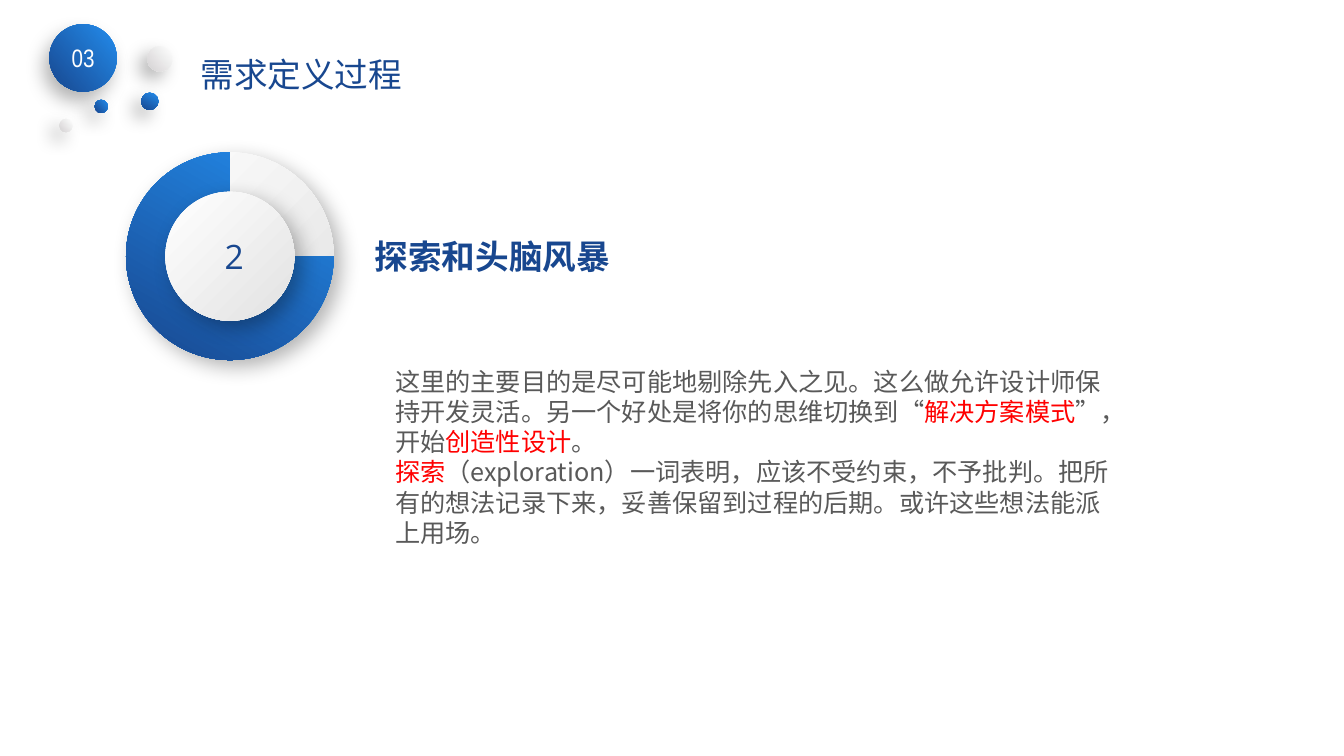
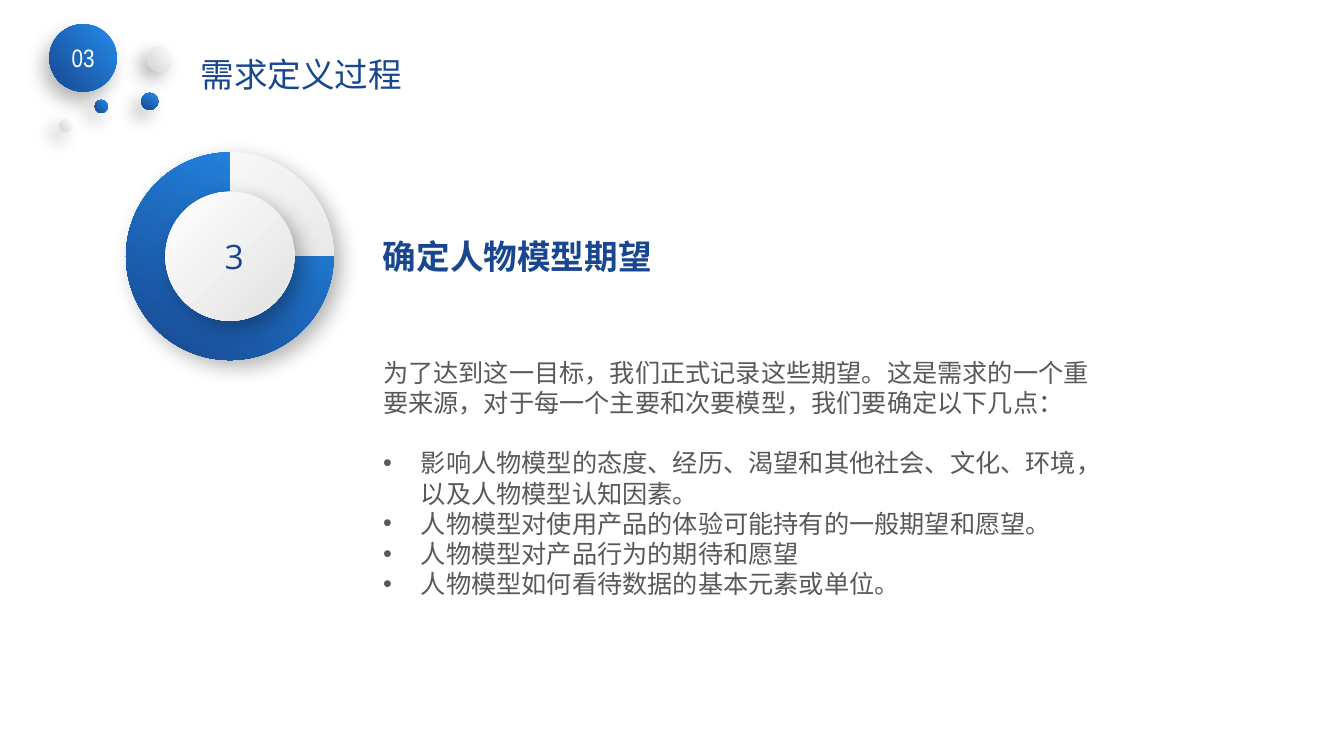
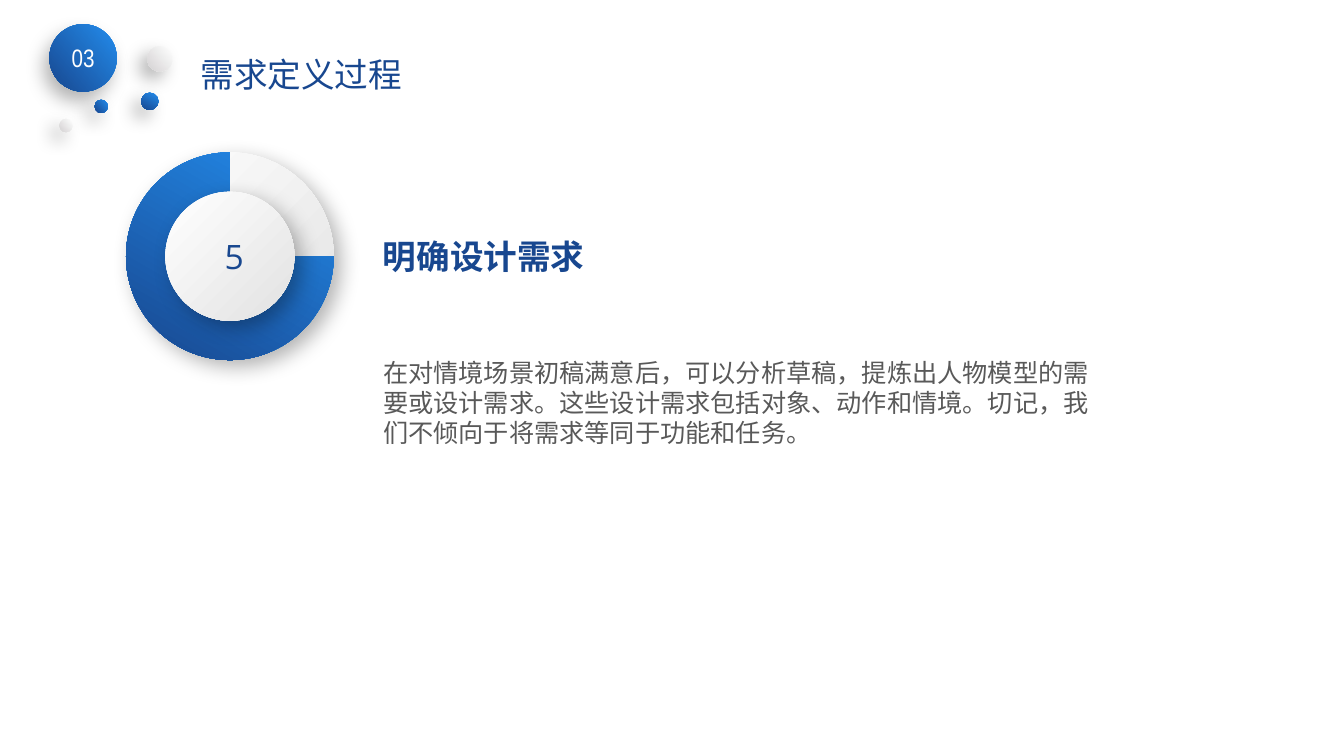
import pptx
import pptx.util
import pptx.dml.color
import pptx.enum.shapes
import pptx.enum.text
import pptx.oxml
import pptx.oxml.ns
import lxml.etree

Pt = pptx.util.Pt
RGBColor = pptx.dml.color.RGBColor
MSO_SHAPE = pptx.enum.shapes.MSO_SHAPE
PP_ALIGN = pptx.enum.text.PP_ALIGN
MSO_ANCHOR = pptx.enum.text.MSO_ANCHOR
qn = pptx.oxml.ns.qn

# Shared colours, fonts and text formats
NAVY = RGBColor(0x18, 0x47, 0x8F)
BRIGHT_BLUE = RGBColor(0x23, 0x8D, 0xED)
WHITE = RGBColor(0xFF, 0xFF, 0xFF)
SILVER = RGBColor(0xD4, 0xD2, 0xD3)
PALE_GRAY = RGBColor(0xE2, 0xE2, 0xE2)
TEXT_GRAY = RGBColor(0x59, 0x59, 0x59)
RED = RGBColor(0xFF, 0x00, 0x00)
BLUES = (BRIGHT_BLUE, NAVY)
SILVERS = (WHITE, SILVER)
GRAYS = (WHITE, PALE_GRAY)

CHINESE_FONT = "Noto Sans CJK SC"
TITLE = {"name": "Open Sans", "size": Pt(24), "color": NAVY, "bold": False}
HEADING = {"name": CHINESE_FONT, "size": Pt(24), "color": NAVY, "bold": True}
BODY = {"name": CHINESE_FONT, "size": Pt(18), "color": TEXT_GRAY}
BADGE = {"name": "Arial Narrow", "size": Pt(18), "color": WHITE}
ONE_LINE = {"margin_top": 0, "margin_bottom": 0, "word_wrap": True,
            "vertical_anchor": MSO_ANCHOR.MIDDLE}
BODY_FRAME = {"word_wrap": True, "vertical_anchor": MSO_ANCHOR.TOP,
              "auto_size": pptx.enum.text.MSO_AUTO_SIZE.NONE}
BODY_SPACING = {"line_spacing": Pt(21.6), "space_before": Pt(0),
                "alignment": PP_ALIGN.LEFT}
BULLET_INDENT = Pt(27)

SLIDES = [
    {"number": "2", "heading": "探索和头脑风暴", "heading_left": 260.6,
     "body_box": (275, 257.8, 534, 160), "bullets": [],
     "paragraphs": [
         [("这里的主要目的是尽可能地剔除先入之见。这么做允许设计师保持开发灵活。"
           "另一个好处是将你的思维切换到“", TEXT_GRAY),
          ("解决方案模式", RED), ("”，开始", TEXT_GRAY),
          ("创造性设计", RED), ("。", TEXT_GRAY)],
         [("探索", RED),
          ("（exploration）一词表明，应该不受约束，不予批判。把所有的想法记录下来，"
           "妥善保留到过程的后期。或许这些想法能派上用场。", TEXT_GRAY)]]},
    {"number": "3", "heading": "确定人物模型期望", "heading_left": 266.4,
     "body_box": (266.4, 251.3, 534, 181.4),
     "paragraphs": [
         [("为了达到这一目标，我们正式记录这些期望。这是需求的一个重要来源，"
           "对于每一个主要和次要模型，我们要确定以下几点：", TEXT_GRAY)]],
     "bullets": [
         "影响人物模型的态度、经历、渴望和其他社会、文化、环境，以及人物模型认知因素。",
         "人物模型对使用产品的体验可能持有的一般期望和愿望。",
         "人物模型对产品行为的期待和愿望",
         "人物模型如何看待数据的基本元素或单位。"]},
    {"number": "5", "heading": "明确设计需求", "heading_left": 266.4,
     "body_box": (266.4, 251.3, 534, 72.7), "bullets": [],
     "paragraphs": [
         [("在对情境场景初稿满意后，可以分析草稿，提炼出人物模型的需要或设计需求。"
           "这些设计需求包括对象、动作和情境。切记，我们不倾向于将需求等同于功能和任务。",
           TEXT_GRAY)]]},
]


def write(paragraph, text, formats):
    run = paragraph.add_run()
    run.text = text
    for name, value in formats.items():
        if name == "color":
            run.font.color.rgb = value
        else:
            setattr(run.font, name, value)
    east_asian = lxml.etree.SubElement(run._r.get_or_add_rPr(), qn("a:ea"))
    east_asian.set("typeface", CHINESE_FONT)


def add_disc(slide, kind, left, top, size, colors, angle, shadow=None):
    """Add a gradient disc; angle is clockwise, shadow is (blur, distance, angle)."""
    shape = slide.shapes.add_shape(kind, Pt(left), Pt(top), Pt(size), Pt(size))
    shape.line.fill.background()
    shape.fill.gradient()
    shape.fill.gradient_angle = 360 - angle
    for stop, color in zip(shape.fill.gradient_stops, colors):
        stop.color.rgb = color
    shape.shadow.inherit = False
    if shadow:
        blur, distance, direction = shadow
        effects = shape.element.spPr.find(qn("a:effectLst"))
        effects.append(pptx.oxml.parse_xml(
            f'<a:outerShdw {pptx.oxml.ns.nsdecls("a")} blurRad="{Pt(blur)}" '
            f'dist="{Pt(distance)}" dir="{direction * 60000}" algn="ctr" rotWithShape="0">'
            '<a:srgbClr val="000000"><a:alpha val="30000"/></a:srgbClr></a:outerShdw>'))
    return shape


presentation = pptx.Presentation()
presentation.slide_width = Pt(960)
presentation.slide_height = Pt(540)
layout = presentation.slide_layouts[1]

# Title position, shared through the layout
title_box = layout.placeholders[0]
for name, value in {"left": 136, "top": 34.6, "width": 334, "height": 36}.items():
    setattr(title_box, name, Pt(value))

slides = [presentation.slides.add_slide(layout) for content in SLIDES]

# Section badge and bubbles, drawn once and moved into the layout
DOT_SHADOW = (13, 8, 135)
badge = add_disc(slides[0], MSO_SHAPE.OVAL, 35.3, 17.3, 48.2, BLUES, 140, (14, 8, 120))
badge.text_frame.vertical_anchor = MSO_ANCHOR.MIDDLE
badge.text_frame.paragraphs[0].alignment = PP_ALIGN.CENTER
write(badge.text_frame.paragraphs[0], "03", BADGE)
bubbles = [badge]
for left, top, size, colors, angle in [
        (105.1, 33.1, 18, SILVERS, 140), (42.5, 85, 9.4, SILVERS, 140),
        (67.7, 71.3, 9.4, BLUES, 140), (100.8, 66.2, 12.4, BLUES, 120)]:
    bubbles.append(add_disc(slides[0], MSO_SHAPE.OVAL, left, top, size,
                            colors, angle, DOT_SHADOW))
for shape_id, bubble in enumerate(bubbles, start=101):
    bubble.element.nvSpPr.cNvPr.set("id", str(shape_id))
    layout.shapes.element.append(bubble.element)

for slide, content in zip(slides, SLIDES):
    # Title
    title = slide.shapes.title.text_frame
    title.paragraphs[0].alignment = PP_ALIGN.LEFT
    write(title.paragraphs[0], "需求定义过程", TITLE)

    # Step ring
    ring_shadow = (15, 7, 45)
    add_disc(slide, MSO_SHAPE.OVAL, 90, 108.8, 148.4, GRAYS, 45, ring_shadow)
    add_disc(slide, MSO_SHAPE.PIE, 90, 108.8, 148.4, BLUES, 120)
    add_disc(slide, MSO_SHAPE.OVAL, 118.1, 136.9, 92.2, GRAYS, 45, ring_shadow)

    # Step number and heading
    number_box = slide.shapes.add_textbox(Pt(113), Pt(164.9), Pt(108.8), Pt(36))
    heading_box = slide.shapes.add_textbox(
        Pt(content["heading_left"]), Pt(164.9), Pt(280), Pt(36))
    number_box.text_frame.paragraphs[0].alignment = PP_ALIGN.CENTER
    write(number_box.text_frame.paragraphs[0], content["number"], TITLE)
    write(heading_box.text_frame.paragraphs[0], content["heading"], HEADING)
    for frame in (title, number_box.text_frame, heading_box.text_frame):
        for name, value in ONE_LINE.items():
            setattr(frame, name, value)

    # Body text, then bullets
    body = slide.placeholders[1]
    body.left, body.top, body.width, body.height = map(Pt, content["body_box"])
    for name, value in BODY_FRAME.items():
        setattr(body.text_frame, name, value)
    lines = [(runs, False) for runs in content["paragraphs"]]
    lines += [([(text, TEXT_GRAY)], True) for text in content["bullets"]]
    for index, (runs, bulleted) in enumerate(lines):
        paragraph = (body.text_frame.add_paragraph() if index
                     else body.text_frame.paragraphs[0])
        for name, value in BODY_SPACING.items():
            setattr(paragraph, name, value)
        if content["bullets"] and not bulleted:
            paragraph.space_after = Pt(21.6)
        properties = paragraph._p.get_or_add_pPr()
        indent = BULLET_INDENT if bulleted else 0
        properties.set("marL", str(indent))
        properties.set("indent", str(-indent))
        if bulleted:
            lxml.etree.SubElement(properties, qn("a:buFont")).set("typeface", "Arial")
            lxml.etree.SubElement(properties, qn("a:buChar")).set("char", "•")
        else:
            lxml.etree.SubElement(properties, qn("a:buNone"))
        for text, color in runs:
            write(paragraph, text, {**BODY, "color": color})

presentation.save("out.pptx")
